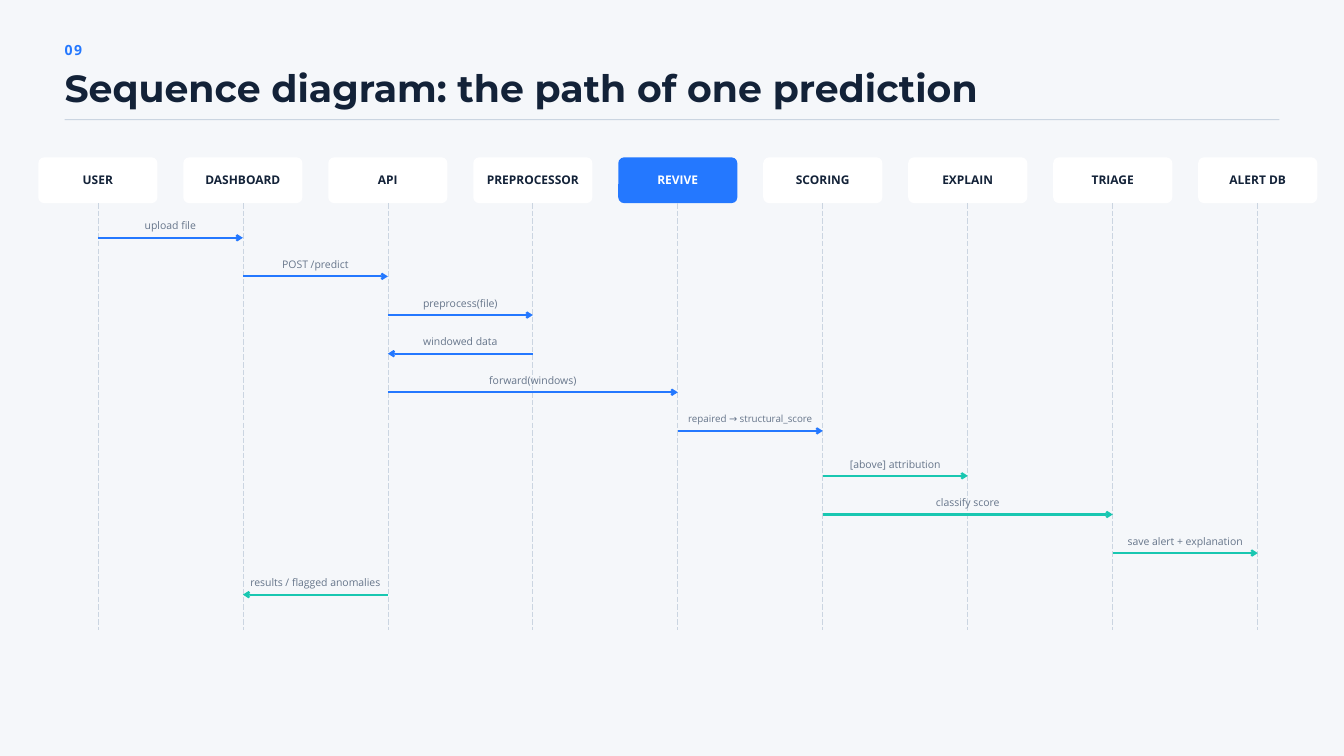
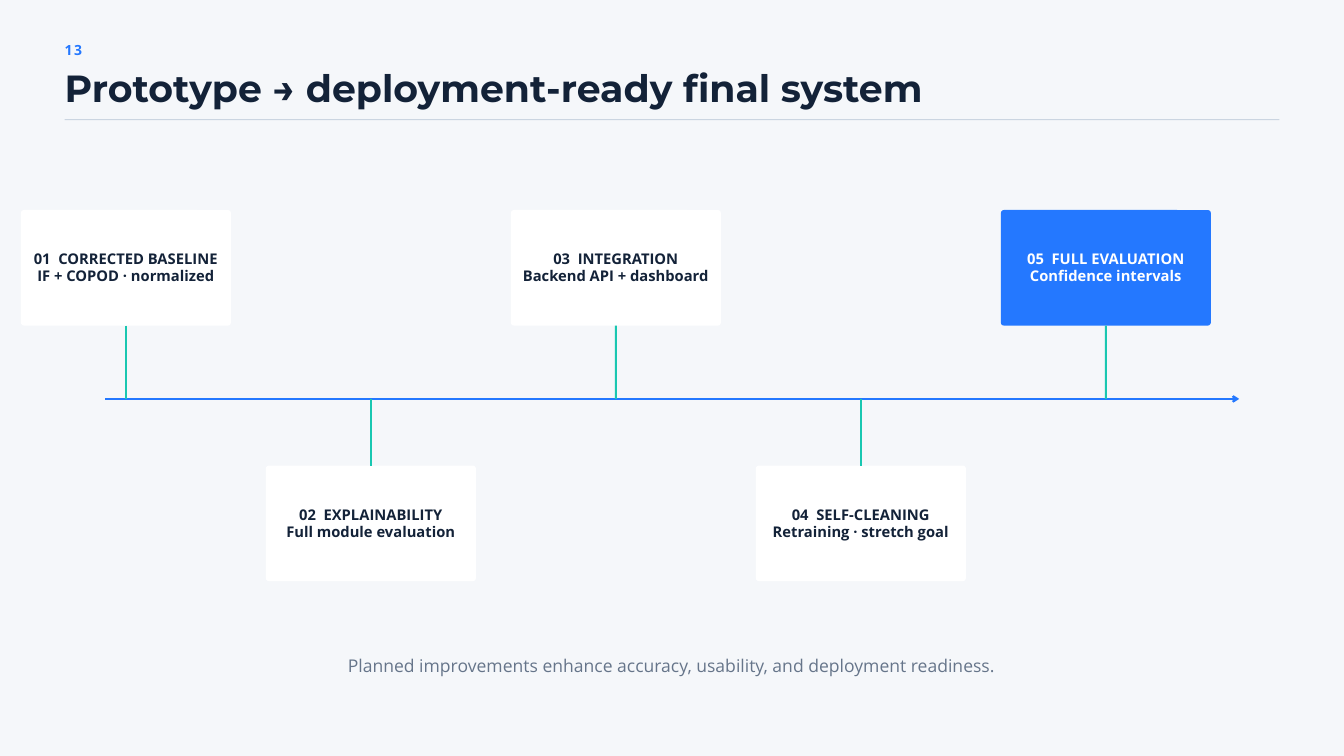
from dataclasses import dataclass

from lxml import etree
from pptx import Presentation
from pptx.dml.color import RGBColor
from pptx.enum.dml import MSO_LINE
from pptx.enum.shapes import MSO_CONNECTOR, MSO_SHAPE
from pptx.enum.text import MSO_ANCHOR, MSO_AUTO_SIZE, PP_ALIGN
from pptx.oxml.ns import qn
from pptx.util import Cm, Pt

RECT = MSO_SHAPE.RECTANGLE
ROUNDED = MSO_SHAPE.ROUNDED_RECTANGLE
STRAIGHT = MSO_CONNECTOR.STRAIGHT
LONG_DASH = MSO_LINE.LONG_DASH
LEFT, CENTER = PP_ALIGN.LEFT, PP_ALIGN.CENTER
TOP, MIDDLE = MSO_ANCHOR.TOP, MSO_ANCHOR.MIDDLE
GROW = MSO_AUTO_SIZE.SHAPE_TO_FIT_TEXT
SITE_TOP, SITE_BOTTOM = 0, 2


@dataclass(frozen=True)
class Theme:
    paper: str = "F5F7FA"
    ink: str = "132238"
    muted: str = "66758A"
    rule: str = "CBD5E1"
    white: str = "FFFFFF"
    blue: str = "2478FF"
    teal: str = "19C7B1"
    head_font: str = "Montserrat"
    body_font: str = "Open Sans"
    title: float = 40.5
    caption: float = 18.8
    card: float = 15.8
    number: float = 15
    lane: float = 12.8
    message: float = 11.2
    message_small: float = 10.5
    hairline: float = 0.75
    stroke: float = 2.25


T = Theme()

SEQUENCE = {
    "number": "09",
    "title": "Sequence diagram: the path of one prediction",
    "lanes": ["USER", "DASHBOARD", "API", "PREPROCESSOR", "REVIVE",
              "SCORING", "EXPLAIN", "TRIAGE", "ALERT DB"],
    "active": "REVIVE",
    "phases": [
        (8.99, T.blue, [
            ("USER", "DASHBOARD", "upload file", T.message),
            ("DASHBOARD", "API", "POST /predict", T.message),
            ("API", "PREPROCESSOR", "preprocess(file)", T.message),
            ("PREPROCESSOR", "API", "windowed data", T.message),
            ("API", "REVIVE", "forward(windows)", T.message),
            ("REVIVE", "SCORING", "repaired → structural_score", T.message_small),
        ]),
        (17.99, T.teal, [
            ("SCORING", "EXPLAIN", "[above] attribution", T.message),
            ("SCORING", "TRIAGE", "classify score", T.message),
            ("TRIAGE", "ALERT DB", "save alert + explanation", T.message),
        ]),
        (22.48, T.teal, [
            ("API", "DASHBOARD", "results / flagged anomalies", T.message),
        ]),
    ],
}

ROADMAP = {
    "number": "13",
    "title": "Prototype → deployment-ready final system",
    "steps": [
        "01  CORRECTED BASELINE\nIF + COPOD · normalized",
        "02  EXPLAINABILITY\nFull module evaluation",
        "03  INTEGRATION\nBackend API + dashboard",
        "04  SELF-CLEANING\nRetraining · stretch goal",
        "05  FULL EVALUATION\nConfidence intervals",
    ],
    "caption": "Planned improvements enhance accuracy, usability, and deployment readiness.",
}


def rgb(color):
    return RGBColor.from_string(color)


def write(sp, text, size, color=T.ink, font=T.body_font, bold=False,
          align=LEFT, anchor=TOP, leading=1.4, tracking=0, inset=0):
    tf = sp.text_frame
    tf.word_wrap = True
    tf.vertical_anchor = anchor
    tf.margin_left = tf.margin_right = tf.margin_top = tf.margin_bottom = Cm(inset)
    for i, line in enumerate(text.split("\n")):
        p = tf.add_paragraph() if i else tf.paragraphs[0]
        p.alignment = align
        p.line_spacing = Pt(round(size * leading, 1))
        r = p.add_run()
        r.text = line
        r.font.name = font
        r.font.size = Pt(size)
        r.font.bold = bold
        r.font.color.rgb = rgb(color)
        if tracking:
            r.font._element.set("spc", str(round(tracking * 100)))


def label(s, box, text, size, **fmt):
    sp = s.shapes.add_textbox(*map(Cm, box))
    write(sp, text, size, **fmt)
    sp.text_frame.auto_size = GROW


def block(s, kind, box, color):
    sp = s.shapes.add_shape(kind, *map(Cm, box))
    sp.shadow.inherit = False
    sp.fill.solid()
    sp.fill.fore_color.rgb = rgb(color)
    sp.line.fill.background()
    return sp


def card(s, box, text, size, radius, active):
    sp = block(s, ROUNDED, box, T.blue if active else T.white)
    sp.adjustments[0] = radius / box[3]
    write(sp, text, size, color=T.white if active else T.ink, bold=True,
          align=CENTER, anchor=MIDDLE, leading=1.15, inset=0.15)
    return sp


def line(s, x1, y1, x2, y2, color, width=T.stroke, dash=None, arrow=False):
    c = s.shapes.add_connector(STRAIGHT, Cm(x1), Cm(y1), Cm(x2), Cm(y2))
    c.line.color.rgb = rgb(color)
    c.line.width = Pt(width)
    if dash:
        c.line.dash_style = dash
    if arrow:
        etree.SubElement(c.line._get_or_add_ln(), qn("a:tailEnd"), type="arrow")
    etree.SubElement(c._element.spPr, qn("a:effectLst"))
    return c


def start_slide(prs, content):
    s = prs.slides.add_slide(prs.slide_layouts[6])
    label(s, (2.44, 1.45, 5.28, 0.71), content["number"], T.number,
          color=T.blue, bold=True, tracking=1.8)
    label(s, (2.44, 2.67, 39.67, 1.5), content["title"], T.title,
          font=T.head_font, bold=True, leading=1.05)
    block(s, RECT, (2.44, 4.5, 45.92, 0.04), T.rule)
    return s


def sequence_slide(prs):
    s = start_slide(prs, SEQUENCE)
    left, top, width, height, pitch = 1.45, 5.95, 4.5, 1.73, 5.48
    lifeline_end, message_gap, label_inset = 23.82, 1.46, 0.21
    centers = {}
    for i, name in enumerate(SEQUENCE["lanes"]):
        x = left + i * pitch
        centers[name] = x + width / 2
        sp = card(s, (x, top, width, height), name, T.lane, 0.22,
                  name == SEQUENCE["active"])
        lifeline = line(s, centers[name], top + height, centers[name],
                        lifeline_end, T.rule, T.hairline, LONG_DASH)
        lifeline.begin_connect(sp, SITE_BOTTOM)

    for start, color, messages in SEQUENCE["phases"]:
        for i, (source, target, text, size) in enumerate(messages):
            x1, x2, y = centers[source], centers[target], start + i * message_gap
            line(s, x1, y, x2, y, color, arrow=True)
            label(s, (min(x1, x2) + label_inset, y - 0.77,
                      abs(x2 - x1) - 2 * label_inset, 0.51),
                  text, size, color=T.muted, align=CENTER)


def roadmap_slide(prs):
    s = start_slide(prs, ROADMAP)
    left, width, height, pitch = 0.79, 7.94, 4.37, 9.26
    upper, lower, axis = 7.94, 17.6, 15.08
    line(s, 3.97, axis, 46.84, axis, T.blue, arrow=True)
    last = len(ROADMAP["steps"]) - 1
    for i, text in enumerate(ROADMAP["steps"]):
        x = left + i * pitch
        center = x + width / 2
        below = i % 2 == 1
        top = lower if below else upper
        sp = card(s, (x, top, width, height), text, T.card, 0.12, i == last)
        if below:
            stem = line(s, center, axis, center, top, T.teal)
            stem.end_connect(sp, SITE_TOP)
        else:
            stem = line(s, center, top + height, center, axis, T.teal)
            stem.begin_connect(sp, SITE_BOTTOM)
    label(s, (10.58, 24.71, 29.63, 0.82), ROADMAP["caption"], T.caption,
          color=T.muted, align=CENTER, leading=1.25)


def main():
    prs = Presentation()
    prs.slide_width, prs.slide_height = Cm(50.8), Cm(28.58)
    fill = prs.slide_master.background.fill
    fill.solid()
    fill.fore_color.rgb = rgb(T.paper)
    sequence_slide(prs)
    roadmap_slide(prs)
    prs.save("out.pptx")


if __name__ == "__main__":
    main()
